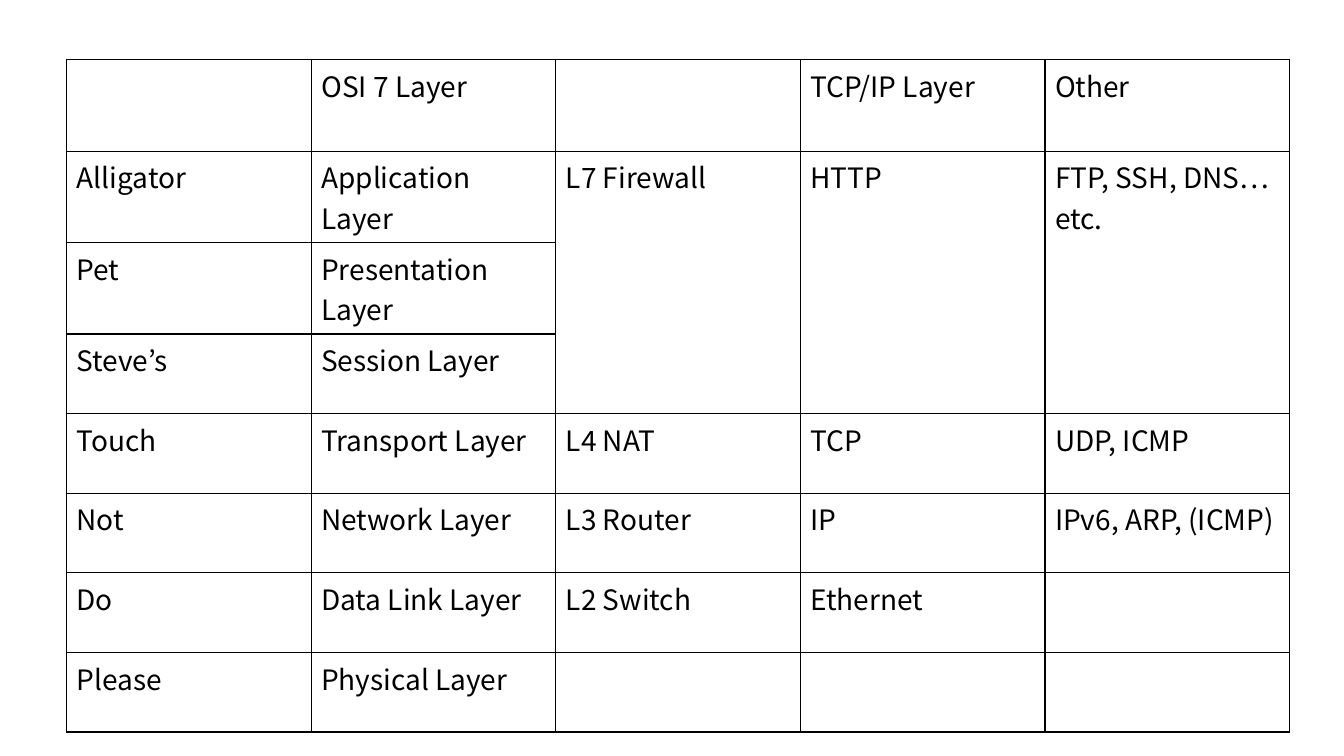
from lxml import etree
from pptx import Presentation
from pptx import util as u
from pptx.dml.color import RGBColor
from pptx.oxml import ns

COLORS = {"ink": "000000", "paper": "FFFFFF"}
FONT = "Noto Sans CJK KR"
TEXT_FORMAT = {"name": FONT, "size": u.Pt(20), "bold": False}
TABLE_FORMAT = {"first_row": False, "horz_banding": False}
HEADER_HEIGHT, LAYER_HEIGHT = 0.91, 0.79
LAYERS = [
    ["", "OSI 7 Layer", "", "TCP/IP Layer", "Other"],
    ["Alligator", "Application Layer", "L7 Firewall", "HTTP", "FTP, SSH, DNS… etc."],
    ["Pet", "Presentation Layer", "", "", ""],
    ["Steve’s", "Session Layer", "", "", ""],
    ["Touch", "Transport Layer", "L4 NAT", "TCP", "UDP, ICMP"],
    ["Not", "Network Layer", "L3 Router", "IP", "IPv6, ARP, (ICMP)"],
    ["Do", "Data Link Layer", "L2 Switch", "Ethernet", ""],
    ["Please", "Physical Layer", "", "", ""],
]


def apply_format(target, values):
    """Set each named attribute on the target."""
    for name, value in values.items():
        setattr(target, name, value)


def add_borders(cell):
    """Draw a thin solid line on all four sides of a cell."""
    properties = cell._tc.get_or_add_tcPr()
    for position, side in enumerate(("lnL", "lnR", "lnT", "lnB")):
        border = etree.Element(ns.qn(f"a:{side}"), w=str(u.Pt(1)))
        ink = etree.SubElement(border, ns.qn("a:solidFill"))
        etree.SubElement(ink, ns.qn("a:srgbClr"), val=COLORS["ink"])
        properties.insert(position, border)


def fill_cell(cell, wording):
    """Write and format one table cell."""
    cell.fill.solid()
    cell.fill.fore_color.rgb = RGBColor.from_string(COLORS["paper"])
    add_borders(cell)
    if wording:
        run = cell.text_frame.paragraphs[0].add_run()
        run.text = wording
        apply_format(run.font, TEXT_FORMAT)
        run.font.color.rgb = RGBColor.from_string(COLORS["ink"])
        etree.SubElement(run._r.get_or_add_rPr(), ns.qn("a:ea"), typeface=FONT)


def add_layer_table(slide):
    """Build the table that compares the network layers."""
    height = HEADER_HEIGHT + LAYER_HEIGHT * (len(LAYERS) - 1)
    table = slide.shapes.add_table(
        len(LAYERS), len(LAYERS[0]),
        u.Inches(0.66), u.Inches(0.59), u.Inches(12.13), u.Inches(height),
    ).table
    apply_format(table, TABLE_FORMAT)
    for index, row in enumerate(table.rows):
        row.height = u.Inches(LAYER_HEIGHT if index else HEADER_HEIGHT)
        for cell, wording in zip(row.cells, LAYERS[index]):
            fill_cell(cell, wording)
    for column in range(2, 5):
        table.cell(1, column).merge(table.cell(3, column))


def main():
    """Create the slide and save it."""
    deck = Presentation()
    apply_format(deck, {"slide_width": u.Inches(13.33), "slide_height": u.Inches(7.5)})
    slide = deck.slides.add_slide(deck.slide_layouts[6])
    add_layer_table(slide)
    deck.save("out.pptx")


if __name__ == "__main__":
    main()
